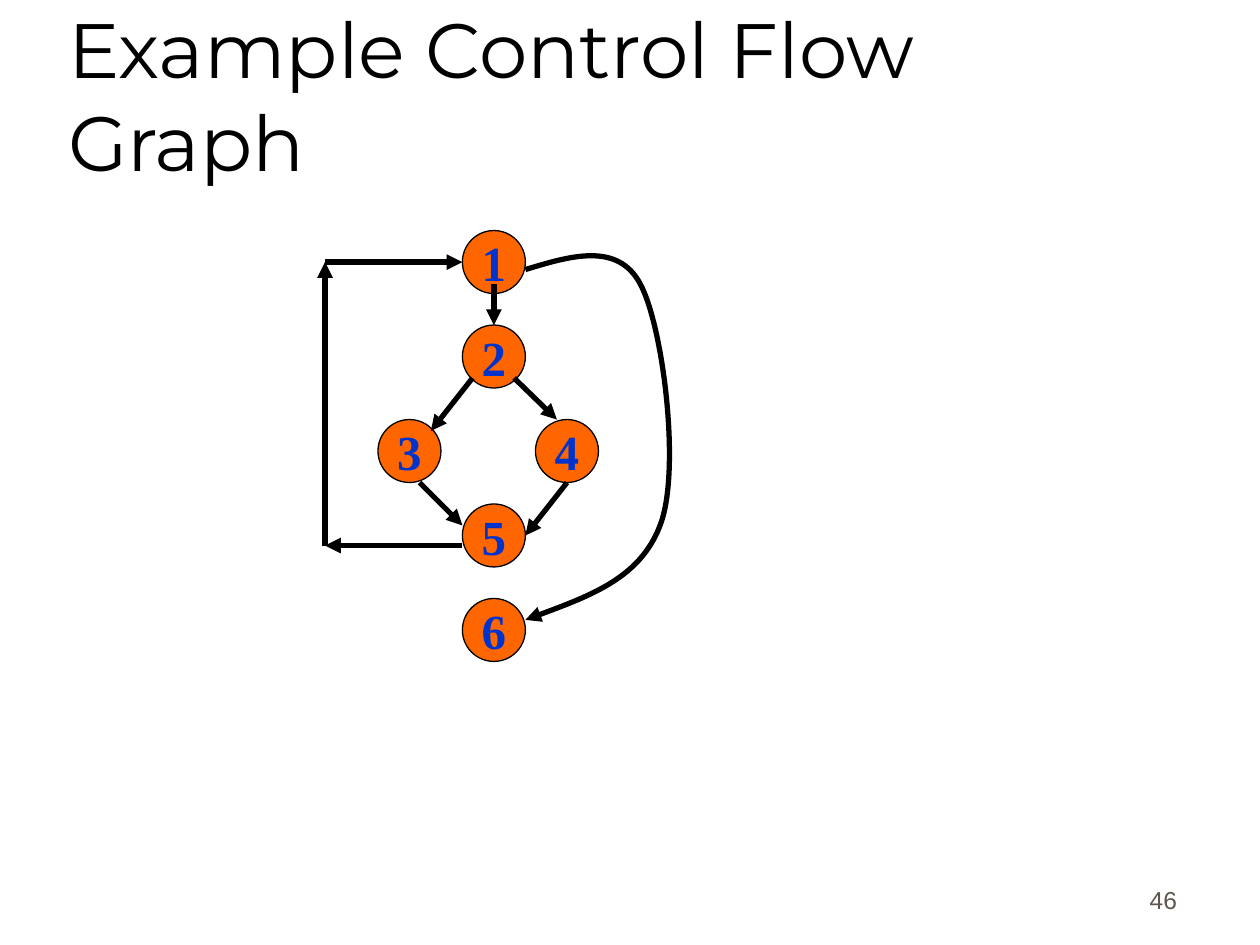
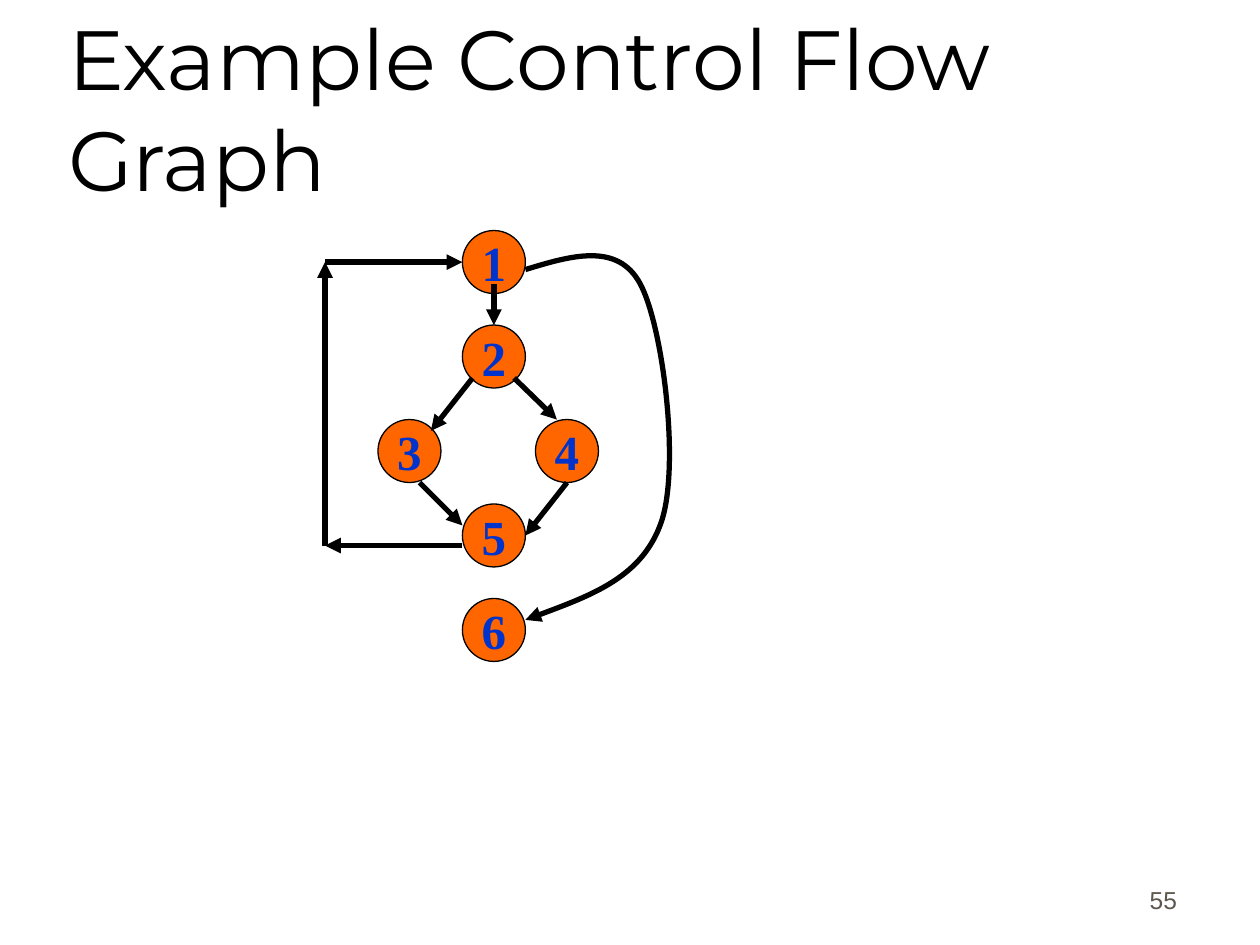
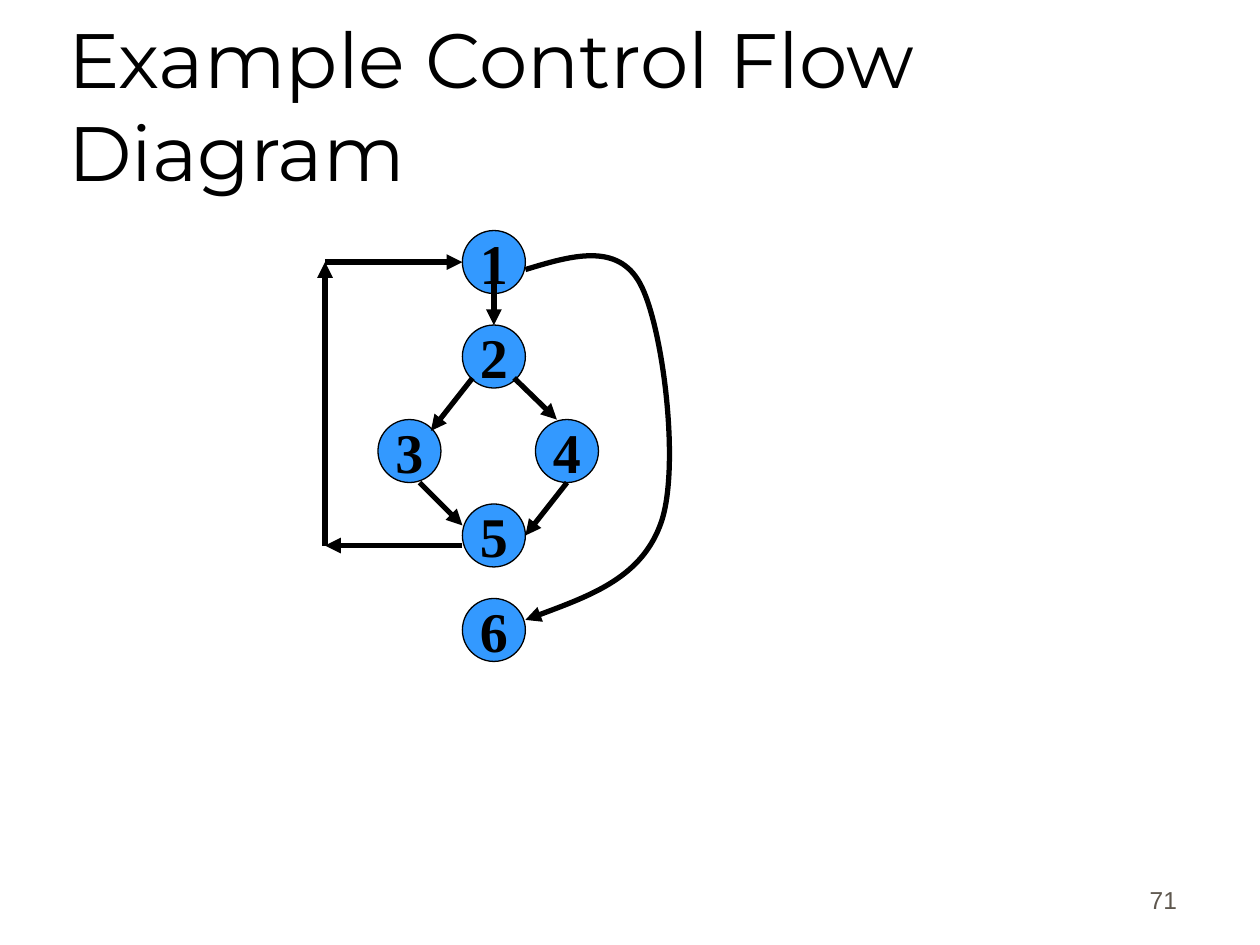
from lxml import etree
from pptx import Presentation
from pptx.dml.color import RGBColor
from pptx.enum.shapes import MSO_CONNECTOR, MSO_SHAPE
from pptx.enum.text import MSO_ANCHOR, MSO_AUTO_SIZE, PP_ALIGN
from pptx.oxml.ns import qn
from pptx.util import Inches, Pt

LEFT, CENTER, RIGHT = PP_ALIGN.LEFT, PP_ALIGN.CENTER, PP_ALIGN.RIGHT
BOTTOM, MIDDLE = MSO_ANCHOR.BOTTOM, MSO_ANCHOR.MIDDLE
NO_FIT = MSO_AUTO_SIZE.NONE
OVAL, STRAIGHT = MSO_SHAPE.OVAL, MSO_CONNECTOR.STRAIGHT

THEME = {
    "black": RGBColor.from_string("000000"),
    "blue": RGBColor.from_string("0033CC"),
    "sky": RGBColor.from_string("3399FF"),
    "orange": RGBColor.from_string("FF6600"),
    "gray": RGBColor.from_string("5E574E"),
    "title": {"name": "Montserrat"},
    "node": {"name": "Times New Roman", "bold": True},
    "number": {"name": "Arial", "size": Pt(14)},
    "thin": Pt(0.75),
    "thick": Pt(3),
}

# title, title top, title size, page number, node fill, label colour, label size
PAGES = [
    ("Example Control Flow Graph", 0.25, 44, "46", "orange", "blue", 28),
    ("Example Control Flow Graph", 0.42, 48, "55", "orange", "blue", 28),
    ("Example Control Flow Diagram", 0.33, 44, "71", "sky", "black", 32),
]

SIDE = 0.5
NODES = [(3.67, 1.83), (3.67, 2.58), (3, 3.33), (4.25, 3.33), (3.67, 4), (3.67, 4.75)]
EDGES = [
    (3.92, 2.25, 3.92, 2.58),
    (3.75, 3, 3.42, 3.42),
    (4.08, 3, 4.42, 3.33),
    (3.33, 3.83, 3.67, 4.17),
    (4.5, 3.83, 4.17, 4.25),
    (3.67, 4.33, 2.58, 4.33),
    (2.58, 4.33, 2.58, 2.08),
    (2.58, 2.08, 3.67, 2.08),
]
# start point, then two control points and an end point for each arc
CURVE = [
    (4.17, 2.14),
    (4.53, 2.03), (4.9, 1.92), (5.08, 2.25),
    (5.26, 2.58), (5.4, 3.69), (5.25, 4.14),
    (5.1, 4.58), (4.63, 4.75), (4.17, 4.92),
]


def write(shape, text, color, align, font, frame):
    """Put one formatted paragraph into the shape."""
    box = shape.text_frame
    box.text = text
    for key, value in frame.items():
        setattr(box, key, value)
    para = box.paragraphs[0]
    para.alignment = align
    for key, value in font.items():
        setattr(para.font, key, value)
    para.font.color.rgb = THEME[color]
    return para


def arrow(shape):
    """Give a line its weight, colour and arrowhead, and no shadow."""
    shape.line.color.rgb = THEME["black"]
    shape.line.width = THEME["thick"]
    props = shape.element.spPr
    etree.SubElement(props.find(qn("a:ln")), qn("a:tailEnd"), type="triangle")
    etree.SubElement(props, qn("a:effectLst"))


deck = Presentation()
deck.slide_width, deck.slide_height = Inches(10), Inches(7.5)

for head, top, size, number, fill, ink, scale in PAGES:
    slide = deck.slides.add_slide(deck.slide_layouts[5])
    shapes = slide.shapes

    title = shapes.title
    title.left, title.top = Inches(0.44), Inches(top)
    title.width, title.height = Inches(8.5), Inches(1.25)
    write(title, head, "black", LEFT, {**THEME["title"], "size": Pt(size)},
          {"vertical_anchor": BOTTOM, "auto_size": NO_FIT,
           "word_wrap": True, "margin_bottom": Inches(0.02)})

    page = shapes.add_textbox(Inches(7.36), Inches(6.81), Inches(2.08), Inches(0.5))
    para = write(page, number, "gray", RIGHT, THEME["number"],
                 {"vertical_anchor": BOTTOM, "word_wrap": True})
    para.space_before = Pt(8.8)

    for count, (x, y) in enumerate(NODES, 1):
        node = shapes.add_shape(OVAL, Inches(x), Inches(y), Inches(SIDE), Inches(SIDE))
        node.shadow.inherit = False
        node.fill.solid()
        node.fill.fore_color.rgb = THEME[fill]
        node.line.color.rgb = THEME["black"]
        node.line.width = THEME["thin"]
        write(node, str(count), ink, CENTER, {**THEME["node"], "size": Pt(scale)},
              {"vertical_anchor": MIDDLE, "word_wrap": False})

    for edge in EDGES:
        arrow(shapes.add_connector(STRAIGHT, *map(Inches, edge)))

    points = [(Inches(x), Inches(y)) for x, y in CURVE]
    maker = shapes.build_freeform(*points[0])
    maker.add_line_segments(points[1:], close=False)
    curve = maker.convert_to_shape()
    curve.fill.background()
    arrow(curve)

    # Merge each three straight segments into one cubic arc
    lines = list(curve.element.iter(qn("a:lnTo")))
    for i in range(0, len(lines), 3):
        arc = etree.Element(qn("a:cubicBezTo"))
        lines[i].addprevious(arc)
        for line in lines[i:i + 3]:
            arc.append(line[0])
            line.getparent().remove(line)

deck.save("out.pptx")
